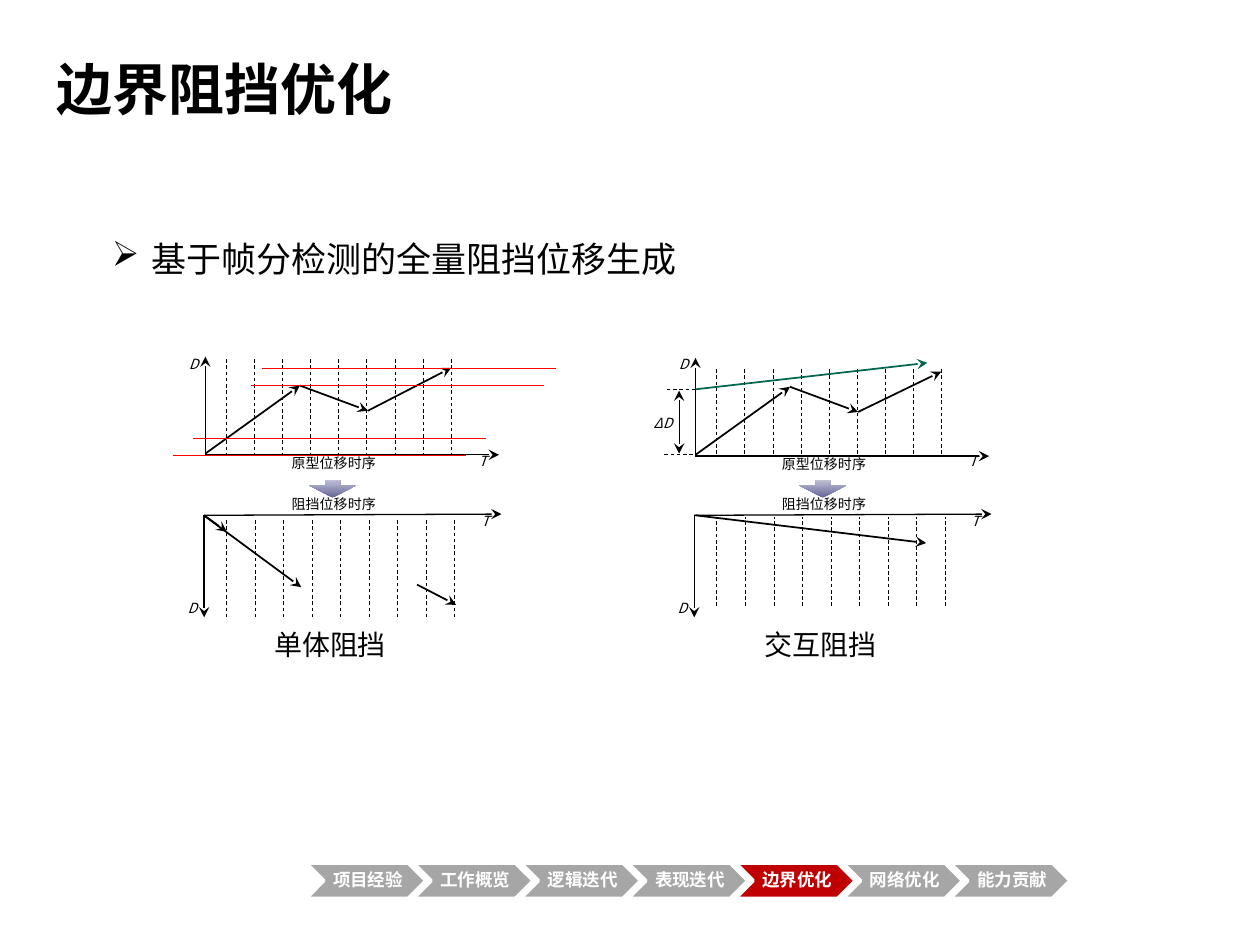
from lxml.etree import SubElement
from pptx import Presentation
from pptx.dml.color import RGBColor
from pptx.enum.dml import MSO_LINE
from pptx.enum.shapes import MSO_CONNECTOR, MSO_SHAPE
from pptx.enum.text import MSO_ANCHOR, MSO_AUTO_SIZE, PP_ALIGN
from pptx.oxml.ns import qn
from pptx.util import Inches, Pt

COLORS = {
    "black": "000000", "white": "FFFFFF", "gray": "A6A6A6", "active": "C00000",
    "red": "FF0000", "green": "00664D", "violet": "666699", "lilac": "BEBED4",
}
SANS = "Noto Sans CJK SC"
SERIF = "Times New Roman"

TITLE = "边界阻挡优化"
BULLET = "基于帧分检测的全量阻挡位移生成"
STEPS = ["项目经验", "工作概览", "逻辑迭代", "表现迭代", "边界优化", "网络优化", "能力贡献"]
ACTIVE_STEP = "边界优化"

PANELS = [
    {
        "caption": "单体阻挡", "dx": 0, "dy": 0, "peak": 2.92,
        "top_ticks": (2.85, 3.6), "bottom_ticks": (4.9, 4.11),
        "blocked": [((1.63, 4.1), (2.39, 4.66)), ((3.31, 4.64), (3.62, 4.8)),
                    ((1.62, 4.09), (1.8, 4.22))],
    },
    {
        "caption": "交互阻挡", "dx": 3.89, "dy": 0.01, "peak": 2.95,
        "top_ticks": (2.93, 3.6), "bottom_ticks": (4.81, 4.1),
        "blocked": [((5.52, 4.09), (7.35, 4.31))],
    },
]
AXIS_LABELS = [("T", 3.7, 3.54), ("D", 1.4, 2.77), ("T", 3.72, 4.02), ("D", 1.39, 4.71)]
THRESHOLDS = [(1.37, 3.61), (1.53, 3.48), (1.99, 3.06), (2.08, 2.92)]
TICK_COUNT = 9
TOP_TICK_STEP = 0.2225
BOTTOM_TICK_STEP = 0.2263

presentation = Presentation()
presentation.slide_width = Inches(10)
presentation.slide_height = Inches(7.5)
slide = presentation.slides.add_slide(presentation.slide_layouts[5])


def color(name):
    return RGBColor.from_string(COLORS[name])


def write(shape, text, size=8, font=SANS, fill="black", bold=False, italic=False,
          align=PP_ALIGN.LEFT, anchor=MSO_ANCHOR.TOP):
    frame = shape.text_frame
    frame.word_wrap = True
    frame.auto_size = MSO_AUTO_SIZE.NONE
    frame.vertical_anchor = anchor
    paragraph = frame.paragraphs[0]
    paragraph.alignment = align
    run = paragraph.add_run()
    run.text = text
    run.font.size = Pt(size)
    run.font.name = font
    run.font.bold = bold
    run.font.italic = italic
    run.font.color.rgb = color(fill)
    if font == SANS:
        SubElement(run.font._element, qn("a:ea"), typeface=font)
    return paragraph


def add_text(text, left, top, width, height, **format):
    box = slide.shapes.add_textbox(Inches(left), Inches(top), Inches(width), Inches(height))
    return write(box, text, **format)


def add_line(start, end, width=1, fill="black", dashed=False, head=False, tail=False):
    connector = slide.shapes.add_connector(
        MSO_CONNECTOR.STRAIGHT, *[Inches(value) for value in (*start, *end)])
    connector.line.width = Pt(width)
    connector.line.color.rgb = color(fill)
    if dashed:
        connector.line.dash_style = MSO_LINE.DASH
    outline = connector.line._get_or_add_ln()
    for tag, wanted in (("a:headEnd", head), ("a:tailEnd", tail)):
        if wanted:
            SubElement(outline, qn(tag), type="stealth")
    SubElement(connector._element.spPr, qn("a:effectLst"))


def add_ticks(left, step, span):
    for index in range(TICK_COUNT):
        x = left + index * step
        add_line((x, span[0]), (x, span[1]), width=0.5, dashed=True)


def add_down_arrow(left, top):
    arrow = slide.shapes.add_shape(
        MSO_SHAPE.LEFT_ARROW, Inches(left), Inches(top), Inches(0.14), Inches(0.38))
    arrow.rotation = 270
    arrow.adjustments[0] = 0.312
    arrow.adjustments[1] = 0.715
    arrow.shadow.inherit = False
    arrow.line.fill.background()
    arrow.fill.gradient()
    arrow.fill.gradient_angle = 0
    for stop, name in zip(arrow.fill.gradient_stops, ("violet", "lilac")):
        stop.color.rgb = color(name)


def add_panel(panel):
    dx, dy = panel["dx"], panel["dy"]
    add_ticks(1.8 + dx, TOP_TICK_STEP, panel["top_ticks"])
    add_ticks(1.8 + dx, BOTTOM_TICK_STEP, panel["bottom_ticks"])

    top_origin = (1.63 + dx, 3.61 + dy)
    bottom_origin = (1.62 + dx, 4.09)
    for start, end in [
        (top_origin, (3.96 + dx, 3.61 + dy)),
        (top_origin, (1.63 + dx, 2.83 + dy)),
        (bottom_origin, (3.98 + dx, 4.08)),
        (bottom_origin, (1.62 + dx, 4.9)),
    ]:
        add_line(start, end, width=0.75, tail=True)

    motion = [(1.63 + dx, 3.6 + dy), (2.38 + dx, 3.06 + dy),
              (2.92 + dx, 3.26 + dy), (3.58 + dx, panel["peak"])]
    for start, end in [*zip(motion, motion[1:]), *panel["blocked"]]:
        add_line(start, end, tail=True)

    for text, left, top in AXIS_LABELS:
        add_text(text, left + dx, top, 0.44, 0.23, italic=True)
    add_text("原型位移时序", 1.98 + dx, 3.56 + dy, 1.34, 0.23, align=PP_ALIGN.CENTER)
    add_text("阻挡位移时序", 1.98 + dx, 3.88, 1.34, 0.23, align=PP_ALIGN.CENTER)
    add_text(panel["caption"], 1.8 + dx, 4.93, 1.64, 0.37, size=16, align=PP_ALIGN.CENTER)
    add_down_arrow(2.57 + dx, 3.69)


def add_step(index, text):
    chevron = slide.shapes.add_shape(
        MSO_SHAPE.CHEVRON, Inches(2.43 + index * 0.852), Inches(6.85), Inches(0.95), Inches(0.28))
    chevron.shadow.inherit = False
    chevron.fill.solid()
    chevron.fill.fore_color.rgb = color("active" if text == ACTIVE_STEP else "gray")
    chevron.line.color.rgb = color("white")
    chevron.line.width = Pt(2)
    frame = chevron.text_frame
    frame.margin_left = Inches(0.04)
    frame.margin_right = frame.margin_top = frame.margin_bottom = Inches(0.01)
    paragraph = write(chevron, text, size=10, font=SERIF, fill="white", bold=True,
                      align=PP_ALIGN.CENTER, anchor=MSO_ANCHOR.MIDDLE)
    paragraph.line_spacing = 0.9


title = slide.shapes.title
title.left, title.top, title.width, title.height = map(Inches, (0.35, 0.24, 6.57, 0.92))
write(title, TITLE, size=32, bold=True, anchor=MSO_ANCHOR.MIDDLE)

bullet = add_text(BULLET, 0.79, 1.67, 7.75, 0.55, size=20)
bullet.level = 1
bullet.line_spacing = 1.5
bullet.space_before = Pt(4)
properties = bullet._p.get_or_add_pPr()
properties.set("marL", str(Inches(0.31)))
properties.set("indent", str(-Inches(0.31)))
SubElement(properties, qn("a:buChar"), char="➢")

for panel in PANELS:
    add_panel(panel)

add_line((5.52, 3.09), (7.36, 2.88), fill="green", tail=True)
add_line((5.52, 3.09), (5.28, 3.09), width=0.5, dashed=True)
add_line((5.5, 3.61), (5.26, 3.61), width=0.5, dashed=True)
add_line((5.39, 3.1), (5.39, 3.6), width=0.5, head=True, tail=True)
add_text("ΔD", 5.09, 3.24, 0.44, 0.23, italic=True)

for left, y in THRESHOLDS:
    add_line((left, y), (left + 2.33, y), width=0.25, fill="red")

for index, text in enumerate(STEPS):
    add_step(index, text)

presentation.save("out.pptx")
